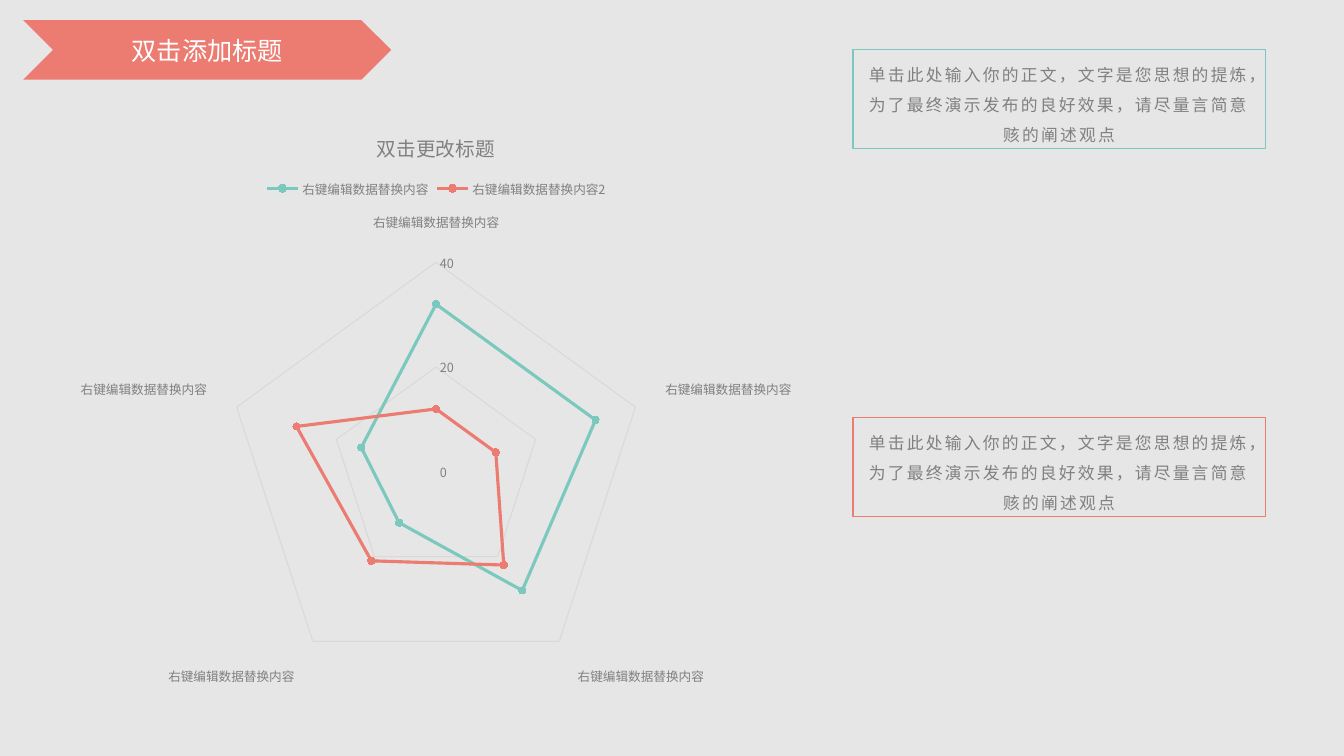
from dataclasses import dataclass

from lxml import etree
from pptx import Presentation
from pptx.chart.data import CategoryChartData
from pptx.dml.color import RGBColor
from pptx.enum.chart import (XL_CHART_TYPE, XL_LEGEND_POSITION,
                             XL_MARKER_STYLE, XL_TICK_MARK)
from pptx.enum.shapes import MSO_SHAPE
from pptx.enum.text import MSO_ANCHOR, MSO_AUTO_SIZE, PP_ALIGN
from pptx.oxml.ns import qn
from pptx.util import Inches, Pt


@dataclass(frozen=True)
class Theme:
    font: str = "Noto Sans CJK SC"
    background: RGBColor = RGBColor(0xE7, 0xE6, 0xE6)
    coral: RGBColor = RGBColor(0xEC, 0x7B, 0x71)
    teal: RGBColor = RGBColor(0x7B, 0xC9, 0xBE)
    grey: RGBColor = RGBColor(0x80, 0x80, 0x80)
    grid: RGBColor = RGBColor(0xD9, 0xD9, 0xD9)
    white: RGBColor = RGBColor(0xFF, 0xFF, 0xFF)
    title_size: float = 18
    chart_title_size: float = 14
    body_size: float = 12
    chart_size: float = 10
    label_size: float = 9
    letter_spacing: int = 160


class SlideBuilder:
    def __init__(self, deck, theme):
        self.deck = deck
        self.theme = theme
        self.page = deck.slides.add_slide(deck.slide_layouts[5])
        self.page.background.fill.solid()
        self.page.background.fill.fore_color.rgb = theme.background

    def area(self, left, top, width, height):
        across, down = self.deck.slide_width, self.deck.slide_height
        return [int(share * length / 100) for share, length in
                zip((left, top, width, height), (across, down, across, down))]

    def style_font(self, font, size, color):
        font.name = self.theme.font
        font.size = Pt(size)
        font.color.rgb = color

    def add_east_asian_font(self, element):
        for latin in list(element.iter(qn("a:latin"))):
            east_asian = etree.Element(qn("a:ea"), typeface=self.theme.font)
            latin.addnext(east_asian)

    def title(self, text, *shares):
        banner = self.page.shapes.add_shape(MSO_SHAPE.CHEVRON, *self.area(*shares))
        banner.shadow.inherit = False
        banner.fill.solid()
        banner.fill.fore_color.rgb = self.theme.coral
        banner.line.fill.background()
        box = self.page.shapes.title
        box.left, box.top, box.width, box.height = self.area(*shares)
        banner.element.addnext(box.element)
        frame = box.text_frame
        frame.text = text
        frame.vertical_anchor = MSO_ANCHOR.MIDDLE
        para = frame.paragraphs[0]
        para.alignment = PP_ALIGN.CENTER
        self.style_font(para.runs[0].font, self.theme.title_size, self.theme.white)
        self.add_east_asian_font(box.element)

    def note(self, text, color, *shares):
        box = self.page.shapes.add_textbox(*self.area(*shares))
        box.line.color.rgb = color
        box.line.width = Pt(0.75)
        frame = box.text_frame
        frame.word_wrap = True
        frame.auto_size = MSO_AUTO_SIZE.SHAPE_TO_FIT_TEXT
        frame.text = text
        para = frame.paragraphs[0]
        para.alignment = PP_ALIGN.CENTER
        para.line_spacing = 1.5
        span = para.runs[0]
        self.style_font(span.font, self.theme.body_size, self.theme.grey)
        properties = span.font.element if hasattr(span.font, "element") else box.element.find(".//" + qn("a:rPr"))
        properties.set("spc", str(self.theme.letter_spacing))
        self.add_east_asian_font(box.element)

    def radar(self, title, categories, series, *shares):
        theme = self.theme
        data = CategoryChartData()
        data.categories = categories
        for name, values, color in series:
            data.add_series(name, values)
        chart = self.page.shapes.add_chart(
            XL_CHART_TYPE.RADAR_MARKERS, *self.area(*shares), data).chart
        self.style_font(chart.font, theme.chart_size, theme.grey)

        chart.has_title = True
        chart.chart_title.include_in_layout = False
        heading = chart.chart_title.text_frame
        heading.text = title
        span = heading.paragraphs[0].runs[0]
        self.style_font(span.font, theme.chart_title_size, theme.grey)
        span.font.bold = False

        chart.has_legend = True
        chart.legend.position = XL_LEGEND_POSITION.TOP
        chart.legend.include_in_layout = False
        self.style_font(chart.legend.font, theme.label_size, theme.grey)

        for axis in (chart.category_axis, chart.value_axis):
            axis.major_tick_mark = XL_TICK_MARK.NONE
            axis.minor_tick_mark = XL_TICK_MARK.NONE
            self.style_font(axis.tick_labels.font, theme.label_size, theme.grey)
        chart.category_axis.has_major_gridlines = False
        chart.category_axis.format.line.color.rgb = theme.grid
        chart.category_axis.format.line.width = Pt(0.75)
        scale = chart.value_axis
        scale.minimum_scale, scale.maximum_scale, scale.major_unit = 0, 40, 20
        scale.format.line.fill.background()
        scale.has_major_gridlines = True
        scale.major_gridlines.format.line.color.rgb = theme.grid
        scale.major_gridlines.format.line.width = Pt(0.75)

        chart.plots[0].vary_by_categories = False
        for plotted, (name, values, color) in zip(chart.plots[0].series, series):
            plotted.smooth = False
            plotted.format.line.color.rgb = color
            plotted.format.line.width = Pt(2.25)
            marker = plotted.marker
            marker.style = XL_MARKER_STYLE.CIRCLE
            marker.size = 5
            marker.format.fill.solid()
            marker.format.fill.fore_color.rgb = color
            marker.format.line.color.rgb = color
        self.add_east_asian_font(chart.element)


def main():
    deck = Presentation()
    deck.slide_width, deck.slide_height = Inches(13.33), Inches(7.5)
    theme = Theme()
    slide = SlideBuilder(deck, theme)

    label = "右键编辑数据替换内容"
    slide.title("双击添加标题", 1.73, 2.67, 27.38, 7.87)
    slide.radar("双击更改标题", [label] * 5,
                [(label, (32, 32, 28, 12, 15), theme.teal),
                 (label + "2", (12, 12, 22, 21, 28), theme.coral)],
                3.6, 14.67, 57.69, 77.47)
    body = "单击此处输入你的正文，文字是您思想的提炼，为了最终演示发布的良好效果，请尽量言简意赅的阐述观点"
    for top, color in ((55.2, theme.coral), (6.53, theme.teal)):
        slide.note(body, color, 63.47, top, 30.68, 13.07)
    deck.save("out.pptx")


if __name__ == "__main__":
    main()
